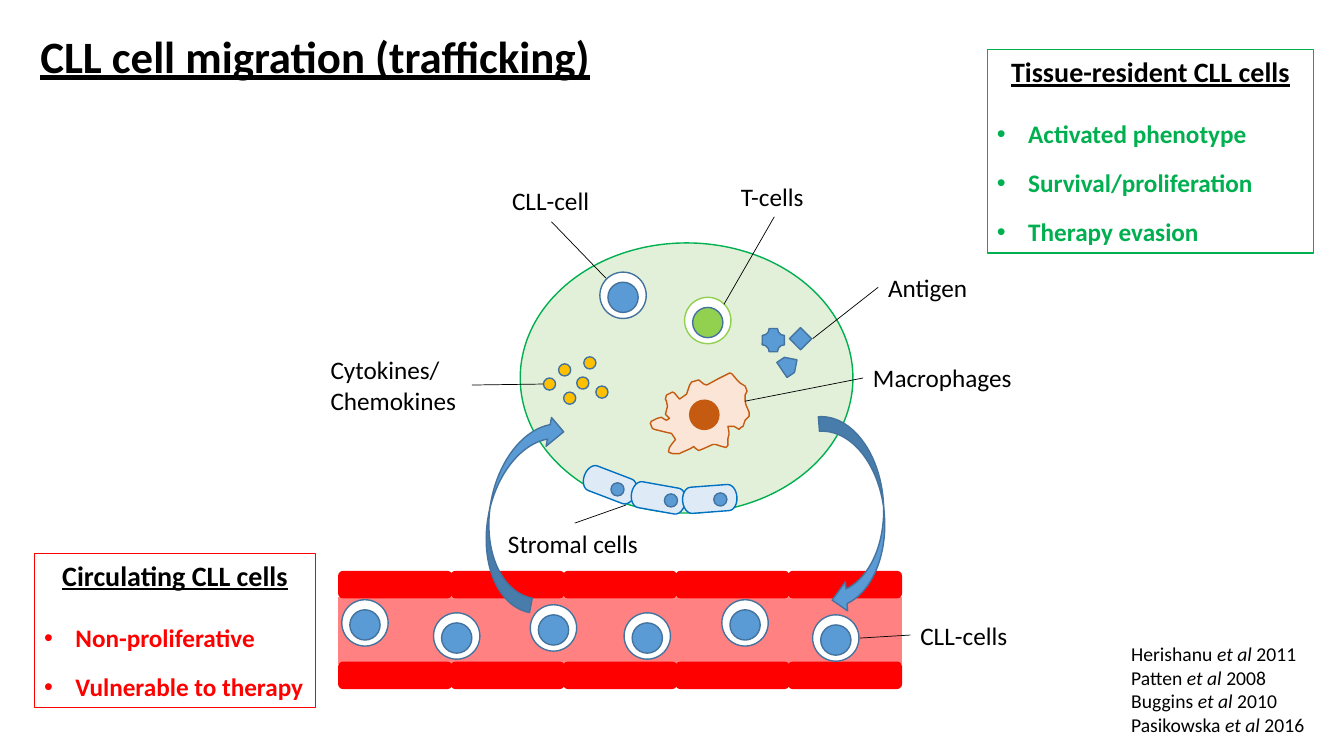
from dataclasses import dataclass

from lxml.etree import SubElement
from pptx import Presentation
from pptx.dml.color import RGBColor
from pptx.enum.shapes import MSO_CONNECTOR, MSO_SHAPE as Kind
from pptx.enum.text import MSO_ANCHOR, PP_ALIGN
from pptx.oxml.ns import qn
from pptx.util import Inches, Pt


@dataclass(frozen=True)
class Theme:
    font: str = "Calibri"
    black: str = "000000"
    white: str = "FFFFFF"
    red: str = "FF0000"
    plasma: str = "FF8181"
    green: str = "00B050"
    node: str = "E2F0D9"
    lime: str = "92D050"
    blue: str = "5B9BD5"
    outline: str = "43739E"
    gold: str = "FFC000"
    stroma: str = "DEEBF7"
    stroma_edge: str = "0070C0"
    macrophage: str = "FBE5D6"
    rust: str = "C55A11"
    title: int = 32
    heading: int = 20
    body: int = 18
    small: int = 14


theme = Theme()
prs = Presentation()
prs.slide_width, prs.slide_height = Inches(13.33), Inches(7.5)
slide = prs.slides.add_slide(prs.slide_layouts[5])
shapes = slide.shapes


def add_figure(kind, left, top, width, height, fill, edge, rotation=0):
    figure = shapes.add_shape(kind, Inches(left), Inches(top), Inches(width), Inches(height))
    figure.shadow.inherit = False
    figure.rotation = rotation
    figure.fill.solid()
    figure.fill.fore_color.rgb = RGBColor.from_string(fill)
    figure.line.color.rgb = RGBColor.from_string(edge)
    figure.line.width = Pt(1)
    return figure


def add_run(paragraph, text, size, color=theme.black, bold=False, underline=False, italic=False):
    run = paragraph.add_run()
    run.text = text
    font = run.font
    font.name, font.size = theme.font, Pt(size)
    font.bold, font.underline, font.italic = bold, underline, italic
    font.color.rgb = RGBColor.from_string(color)


title = shapes.title
title.left, title.top, title.width, title.height = Inches(0.3), Inches(0.23), Inches(5.76), Inches(0.64)
title.text_frame.vertical_anchor = MSO_ANCHOR.TOP
title.text_frame.paragraphs[0].alignment = PP_ALIGN.LEFT
add_run(title.text_frame.paragraphs[0], "CLL cell migration (trafficking)", theme.title, bold=True, underline=True)

add_figure(Kind.RECTANGLE, 3.36, 5.93, 5.58, 0.65, theme.plasma, theme.plasma)
for wall_top in (5.67, 6.57):
    for column in range(5):
        add_figure(Kind.ROUNDED_RECTANGLE, 3.36 + column * 1.115, wall_top, 1.12, 0.26, theme.red, theme.red)

add_figure(Kind.OVAL, 5.16, 2.41, 3.3, 2.68, theme.node, theme.green)

cll_cells = [(3.39, 5.95), (4.3, 6.08), (8.06, 6.1), (5.26, 6), (6.19, 6.08), (7.16, 5.95), (5.95, 2.7)]
cells = [(x, y, theme.outline, theme.blue) for x, y in cll_cells] + [(6.79, 2.95, theme.lime, theme.lime)]
for x, y, membrane, nucleus in cells:
    add_figure(Kind.OVAL, x, y, 0.46, 0.46, theme.white, membrane)
    add_figure(Kind.OVAL, x + 0.08, y + 0.1, 0.3, 0.3, nucleus, theme.outline)

plaque_antigen = add_figure(Kind.PLAQUE, 7.56, 3.26, 0.22, 0.23, theme.blue, theme.outline)
plaque_antigen.adjustments[0] = 0.313
add_figure(Kind.DIAMOND, 7.83, 3.25, 0.22, 0.22, theme.blue, theme.outline)
add_figure(Kind.PENTAGON, 7.74, 3.53, 0.18, 0.18, theme.blue, theme.outline, 326)

for x, y in [(5.39, 3.75), (5.54, 3.61), (5.59, 3.89), (5.72, 3.74), (5.79, 3.54), (5.91, 3.83)]:
    add_figure(Kind.OVAL, x, y, 0.12, 0.12, theme.gold, theme.outline)

fact_boxes = [
    ((0.34, 5.49, 2.79, 1.53), theme.red, "Circulating CLL cells",
     ["Non-proliferative", "Vulnerable to therapy"]),
    ((9.79, 0.49, 3.24, 2.02), theme.green, "Tissue-resident CLL cells",
     ["Activated phenotype", "Survival/proliferation", "Therapy evasion"]),
]
for place, color, heading, facts in fact_boxes:
    fact_box = shapes.add_textbox(*map(Inches, place))
    fact_box.line.color.rgb = RGBColor.from_string(color)
    fact_box.line.width = Pt(0.75)
    frame = fact_box.text_frame
    frame.word_wrap = True
    frame.paragraphs[0].alignment = PP_ALIGN.CENTER
    add_run(frame.paragraphs[0], heading, theme.heading, bold=True, underline=True)
    for index, fact in enumerate(facts):
        paragraph = frame.add_paragraph()
        properties = paragraph._p.get_or_add_pPr()
        properties.set("marL", str(Inches(0.31)))
        properties.set("indent", str(-Inches(0.31)))
        SubElement(properties, qn("a:buFont")).set("typeface", "Arial")
        SubElement(properties, qn("a:buChar")).set("char", "•")
        paragraph.space_before = Pt(13.4 if index else 22)
        add_run(paragraph, fact, theme.body, color, bold=True)

for x, y, rotation in [(4.86, 4.07, 190.7), (8.19, 4.11, 355.7)]:
    add_figure(Kind.CURVED_LEFT_ARROW, x, y, 0.58, 1.97, theme.blue, theme.outline, rotation)

for x, y, rotation in [(5.78, 4.68, 20.9), (6.26, 4.81, 10.1), (6.77, 4.82, 355.7)]:
    add_figure(Kind.FLOWCHART_TERMINATOR, x, y, 0.54, 0.26, theme.stroma, theme.stroma_edge, rotation)
for x, y in [(6.06, 4.79), (6.59, 4.9), (7.08, 4.89)]:
    add_figure(Kind.OVAL, x, y, 0.13, 0.13, theme.blue, theme.outline)

macrophage_outline = [
    (6.6, 4.11), (6.61, 4.07), (6.62, 4.03), (6.61, 3.98), (6.6, 3.96), (6.61, 3.92), (6.67, 3.89),
    (6.69, 3.9), (6.74, 3.96), (6.81, 3.91), (6.82, 3.88), (6.84, 3.82), (6.86, 3.79), (6.93, 3.77),
    (6.98, 3.81), (7.01, 3.82), (7.12, 3.76), (7.24, 3.7), (7.26, 3.71), (7.31, 3.77), (7.34, 3.8),
    (7.39, 3.83), (7.41, 3.88), (7.39, 3.92), (7.39, 3.98), (7.4, 4.02), (7.43, 4.09), (7.43, 4.13),
    (7.39, 4.17), (7.37, 4.23), (7.35, 4.24), (7.33, 4.26), (7.28, 4.23), (7.22, 4.23), (7.23, 4.29),
    (7.23, 4.31), (7.22, 4.35), (7.22, 4.42), (7.2, 4.44), (7.16, 4.43), (7.1, 4.41), (7.07, 4.41),
    (6.98, 4.45), (6.93, 4.47), (6.9, 4.45), (6.88, 4.43), (6.85, 4.45), (6.76, 4.49), (6.74, 4.5),
    (6.67, 4.5), (6.64, 4.49), (6.63, 4.48), (6.64, 4.44), (6.66, 4.41), (6.7, 4.36), (6.66, 4.3),
    (6.61, 4.29), (6.57, 4.28), (6.53, 4.27), (6.49, 4.26), (6.47, 4.25), (6.45, 4.2), (6.46, 4.18),
    (6.52, 4.15), (6.56, 4.14), (6.59, 4.16), (6.61, 4.17), (6.64, 4.15),
]
outline_points = [(Inches(x), Inches(y)) for x, y in macrophage_outline]
builder = shapes.build_freeform(*outline_points[0])
builder.add_line_segments(outline_points[1:], close=True)
macrophage = builder.convert_to_shape()
macrophage.shadow.inherit = False
macrophage.fill.solid()
macrophage.fill.fore_color.rgb = RGBColor.from_string(theme.macrophage)
macrophage.line.color.rgb = RGBColor.from_string(theme.rust)
macrophage.line.width = Pt(1)
add_figure(Kind.OVAL, 6.84, 3.97, 0.29, 0.29, theme.rust, theme.rust)

labels = [
    (3.18, 3.47, 1.49, ["Cytokines/", "Chemokines"]),
    (8.71, 2.65, 1, ["Antigen"]),
    (7.25, 1.75, 0.85, ["T-cells"]),
    (4.94, 5.19, 1.5, ["Stromal cells"]),
    (8.56, 3.55, 1.59, ["Macrophages"]),
    (4.98, 1.79, 0.98, ["CLL-cell"]),
    (9.03, 6.1, 1.07, ["CLL-cells"]),
]
for x, y, width, lines in labels:
    label = shapes.add_textbox(Inches(x), Inches(y), Inches(width), Inches(0.1 + 0.3 * len(lines)))
    label.text_frame.word_wrap = len(lines) > 1
    for index, line in enumerate(lines):
        paragraph = label.text_frame.add_paragraph() if index else label.text_frame.paragraphs[0]
        add_run(paragraph, line, theme.body)

pointers = [
    (5.7, 5.19, 6.21, 5.01), (6.01, 2.76, 5.47, 2.2), (7.18, 3.02, 7.68, 2.15), (8.06, 3.36, 8.71, 2.85),
    (7.39, 3.98, 8.56, 3.75), (4.68, 3.82, 5.39, 3.81), (9.03, 6.3, 8.53, 6.33),
]
for ends in pointers:
    pointer = shapes.add_connector(MSO_CONNECTOR.STRAIGHT, *map(Inches, ends))
    pointer.line.color.rgb = RGBColor.from_string(theme.black)
    pointer.line.width = Pt(0.5)
    SubElement(pointer._element.spPr, qn("a:effectLst"))

references = shapes.add_textbox(Inches(11.12), Inches(6.32), Inches(2.11), Inches(1.04)).text_frame
references.word_wrap = True
citations = [("Herishanu ", "2011"), ("Patten ", "2008"), ("Buggins ", "2010"), ("Pasikowska ", "2016")]
for index, (author, year) in enumerate(citations):
    paragraph = references.add_paragraph() if index else references.paragraphs[0]
    add_run(paragraph, author, theme.small)
    add_run(paragraph, "et al ", theme.small, italic=True)
    add_run(paragraph, year, theme.small)

prs.save("out.pptx")
